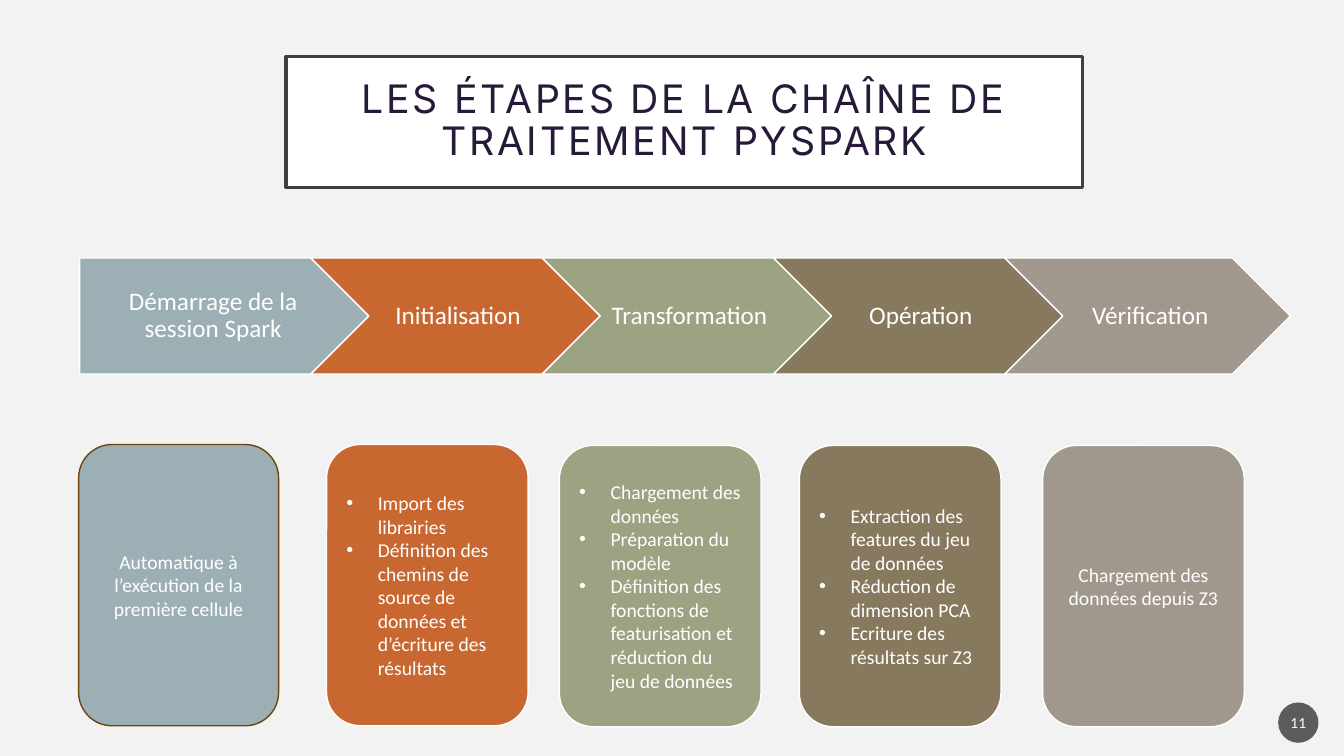
from lxml.etree import SubElement
from pptx import Presentation
from pptx.dml.color import RGBColor as RGB
from pptx.enum.shapes import MSO_SHAPE as SHAPE
from pptx.enum.text import MSO_ANCHOR as ANCHOR, PP_ALIGN as ALIGN
from pptx.oxml.ns import qn
from pptx.util import Pt

COLORS = {
    "background": "F2F2F2",
    "white": "FFFFFF",
    "frame": "404040",
    "title": "271A38",
    "badge": "1D1D1D",
    "outline": "6C470D",
    "blue": "9BAFB5",
    "orange": "C96731",
    "green": "9CA383",
    "brown": "87795D",
    "taupe": "A0988C",
}

STEPS = [
    ("Démarrage de la session Spark", "blue", 206.6),
    ("Initialisation", "orange", 206.6),
    ("Transformation", "green", 206.6),
    ("Opération", "brown", 206.6),
    ("Vérification", "taupe", 203.8),
]

CARDS = [
    (56.2, 317.5, 142.8, "blue", "outline",
     ["Automatique à l’exécution de la première cellule"]),
    (233.3, 317.5, 144, "orange", "white",
     ["Import des librairies",
      "Définition des chemins de source de données et d’écriture des résultats"]),
    (399.6, 318.2, 144, "green", "white",
     ["Chargement des données",
      "Préparation du modèle",
      "Définition des fonctions de featurisation et réduction du jeu de données"]),
    (571, 318.2, 144, "brown", "white",
     ["Extraction des features du jeu de données",
      "Réduction de dimension PCA",
      "Ecriture des résultats sur Z3"]),
    (744.8, 318.2, 144, "taupe", "white",
     ["Chargement des données depuis Z3"]),
]


def rgb(name):
    return RGB.from_string(COLORS[name])


def write(p, text, size=14, font="Calibri", color="white", align=ALIGN.CENTER,
          leading=1.0, tracking=0, bullet=False):
    p.alignment = align
    p.line_spacing = leading
    r = p.add_run()
    r.text = text
    r.font.size = Pt(size)
    r.font.name = font
    r.font.color.rgb = rgb(color)
    if tracking:
        r._r.get_or_add_rPr().set("spc", str(tracking * 100))
    if bullet:
        pPr = p._p.get_or_add_pPr()
        pPr.set("marL", str(Pt(22.5)))
        pPr.set("indent", str(-Pt(22.5)))
        SubElement(pPr, qn("a:buFont")).set("typeface", "Arial")
        SubElement(pPr, qn("a:buChar")).set("char", "•")


class Deck:
    def __init__(self, width, height):
        self.prs = Presentation()
        self.prs.slide_width = Pt(width)
        self.prs.slide_height = Pt(height)
        self.slide = self.prs.slides.add_slide(self.prs.slide_layouts[6])
        fill = self.slide.background.fill
        fill.solid()
        fill.fore_color.rgb = rgb("background")

    def box(self, kind, x, y, w, h, fill, texts, line=None, weight=1,
            insets=(7.2, 3.6, 7.2, 3.6), **fmt):
        sp = self.slide.shapes.add_shape(kind, Pt(x), Pt(y), Pt(w), Pt(h))
        sp.shadow.inherit = False
        sp.fill.solid()
        sp.fill.fore_color.rgb = rgb(fill)
        if line:
            sp.line.color.rgb = rgb(line)
            sp.line.width = Pt(weight)
        else:
            sp.line.fill.background()
        tf = sp.text_frame
        tf.word_wrap = True
        tf.vertical_anchor = ANCHOR.MIDDLE
        tf.margin_left, tf.margin_top, tf.margin_right, tf.margin_bottom = map(Pt, insets)
        for i, text in enumerate(texts):
            write(tf.add_paragraph() if i else tf.paragraphs[0], text, **fmt)
        return sp

    def title(self, text):
        self.box(SHAPE.RECTANGLE, 204.5, 40.3, 568.8, 93.6, "white", [text],
                 "frame", 2.5, (14.4,) * 4, size=28, font="Inter",
                 color="title", leading=0.9, tracking=2)

    def step(self, i, text, color, width):
        kind = SHAPE.CHEVRON if i else SHAPE.PENTAGON
        left = 5.8 if i else 7.2
        self.box(kind, 56.9 + 165.25 * i, 184.3, width, 82.8, color, [text],
                 "white", insets=(left, 3.6, 2.2, 3.6), size=18, leading=0.9)

    def card(self, x, y, w, color, line, texts):
        listed = len(texts) > 1
        self.box(SHAPE.ROUNDED_RECTANGLE, x, y, w, 200.9, color, texts, line,
                 align=ALIGN.LEFT if listed else ALIGN.CENTER, bullet=listed)

    def badge(self, text):
        sp = self.box(SHAPE.OVAL, 913, 501.8, 28.8, 28.8, "badge", [text],
                      insets=(1.4, 3.6, 1.4, 3.6), size=11)
        clr = sp.fill._xPr.find(qn("a:solidFill")).find(qn("a:srgbClr"))
        SubElement(clr, qn("a:alpha")).set("val", "70000")


def main():
    deck = Deck(960, 540)
    deck.title("LES ÉTAPES DE LA CHAÎNE DE TRAITEMENT PYSPARK")
    for i, step in enumerate(STEPS):
        deck.step(i, *step)
    deck.badge("11")
    for card in CARDS:
        deck.card(*card)
    deck.prs.save("out.pptx")


if __name__ == "__main__":
    main()
